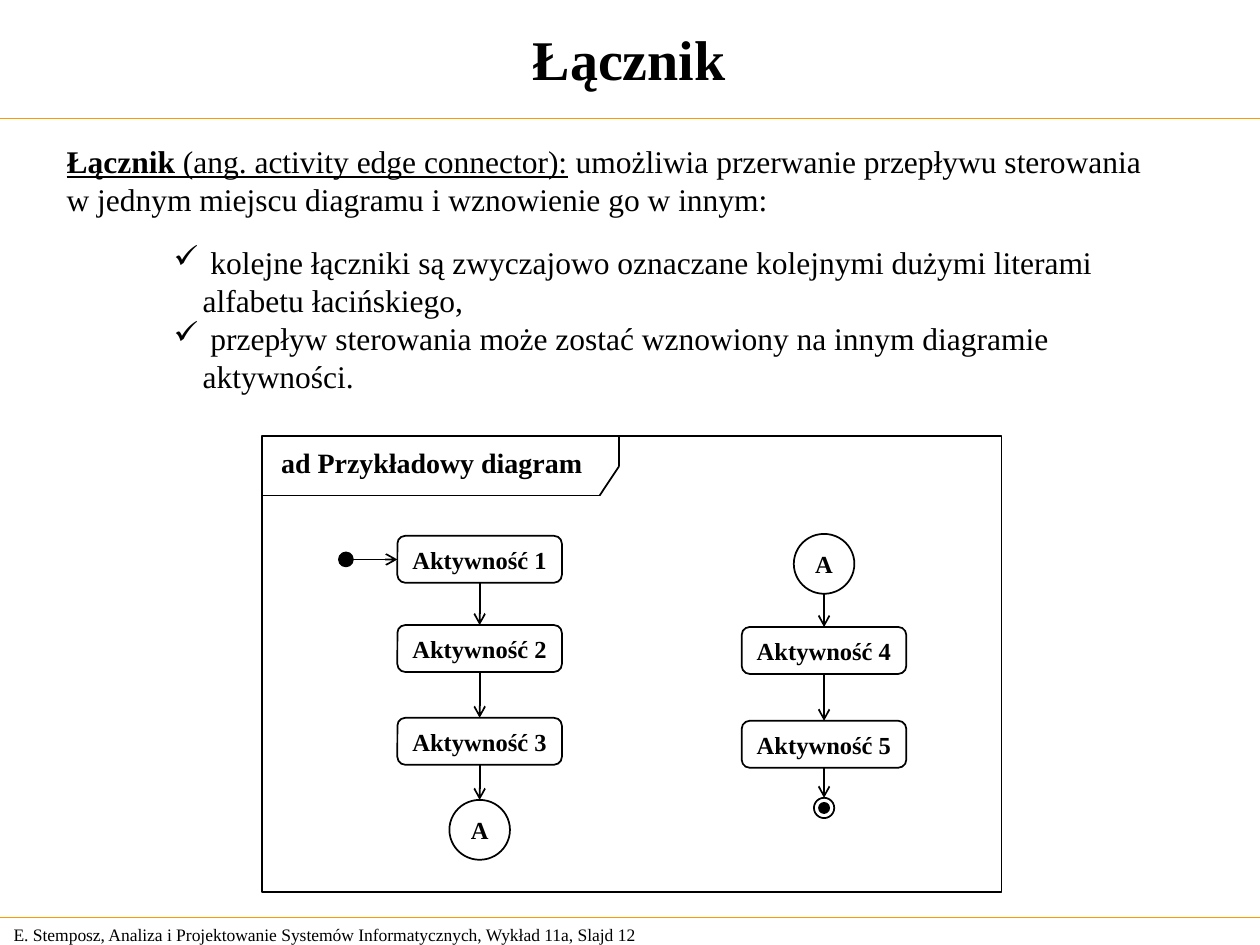
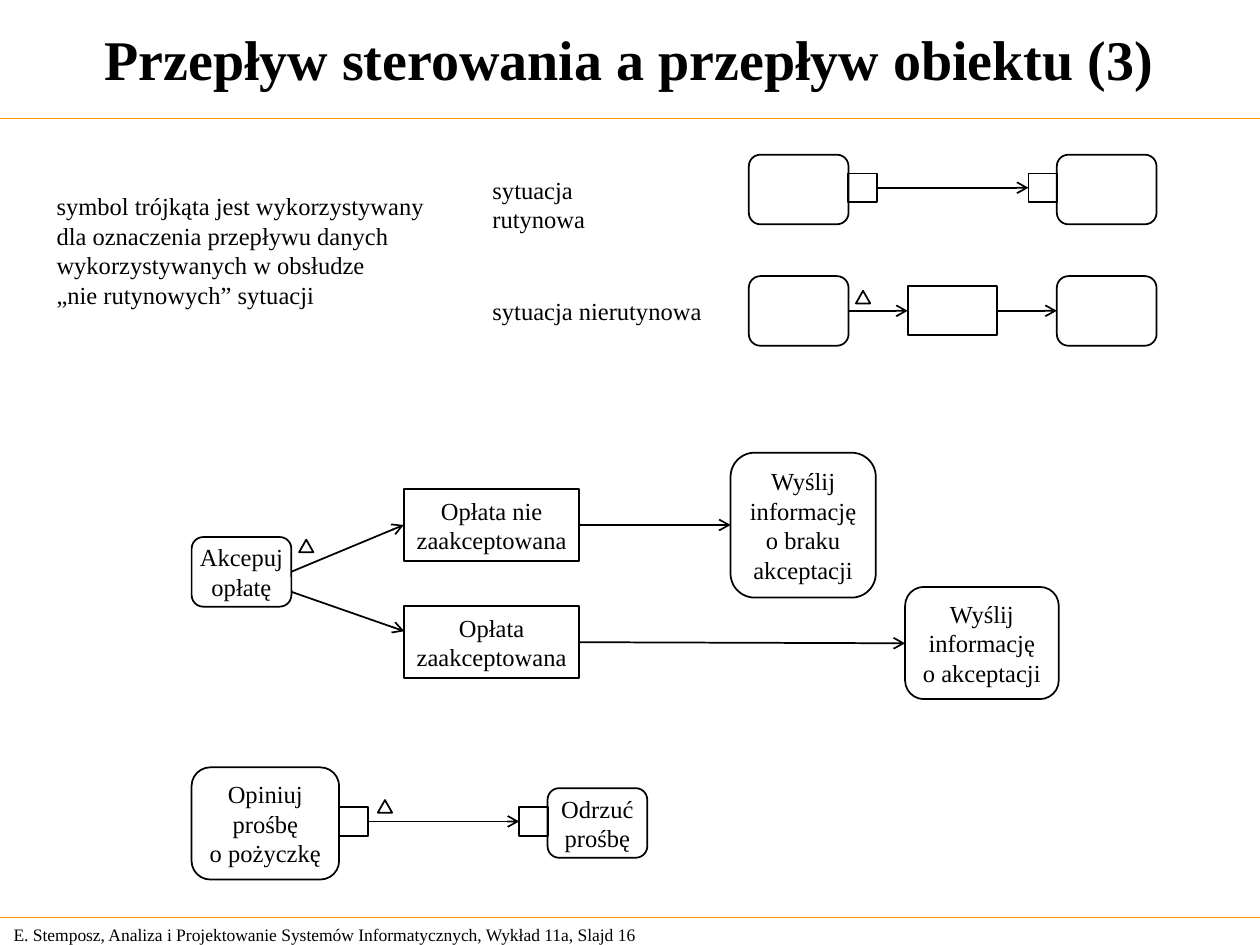
from dataclasses import dataclass
from itertools import pairwise

from lxml import etree
from pptx import Presentation
from pptx.dml.color import RGBColor
from pptx.enum import shapes, text
from pptx.oxml.ns import qn
from pptx.slide import Slide
from pptx.util import Pt

BLACK = RGBColor(0, 0, 0)
ORANGE = RGBColor(0xFF, 0x99, 0x00)
FONT = "Times New Roman"
WIDE, HIGH = 720, 540
RULES = (67.7, 524.2)
FOOT = "E. Stemposz, Analiza i Projektowanie Systemów Informatycznych, Wykład 11a, Slajd "

RECT = shapes.MSO_SHAPE.RECTANGLE
ROUND = shapes.MSO_SHAPE.ROUNDED_RECTANGLE
OVAL = shapes.MSO_SHAPE.OVAL
DELTA = shapes.MSO_SHAPE.ISOSCELES_TRIANGLE
LEFT, MID = text.PP_ALIGN.LEFT, text.PP_ALIGN.CENTER
TOP, CENTER = text.MSO_ANCHOR.TOP, text.MSO_ANCHOR.MIDDLE

PIN = 16.4
CELL = (57, 39.8)


@dataclass(frozen=True)
class Run:
    words: str
    bold: bool = False
    under: bool = False


@dataclass(frozen=True)
class Style:
    size: float = 14
    align: text.PP_ALIGN = LEFT
    anchor: text.MSO_ANCHOR = TOP
    wrap: bool = False
    hang: float = 0


@dataclass(frozen=True)
class Node:
    kind: shapes.MSO_SHAPE
    left: float
    top: float
    wide: float
    high: float
    lines: tuple[str, ...] = ()
    bold: bool = False
    solid: bool = False


@dataclass(frozen=True)
class Edge:
    x1: float
    y1: float
    x2: float
    y2: float
    arrow: bool = True
    color: RGBColor = BLACK
    width: float = 1


def write(frame: text, rows: list[list[Run]], style: Style) -> None:
    """Fill a text frame, one paragraph per row; a hang adds check marks."""
    frame.word_wrap = style.wrap
    frame.vertical_anchor = style.anchor
    for i, row in enumerate(rows):
        para = frame.paragraphs[0] if i == 0 else frame.add_paragraph()
        para.alignment = style.align
        if style.hang:
            props = para._p.get_or_add_pPr()
            props.set("marL", str(Pt(style.hang)))
            props.set("indent", str(-Pt(style.hang)))
            etree.SubElement(props, qn("a:buChar"), char="✓")
        for part in row:
            run = para.add_run()
            run.text = part.words
            font = run.font
            font.name, font.size = FONT, Pt(style.size)
            font.bold, font.underline = part.bold, part.under
            font.color.rgb = BLACK


def add_text(slide: Slide, left: float, top: float, wide: float, high: float,
             rows: list[list[Run]], style: Style = Style()) -> None:
    box = slide.shapes.add_textbox(Pt(left), Pt(top), Pt(wide), Pt(high))
    write(box.text_frame, rows, style)


def add_node(slide: Slide, node: Node) -> None:
    shape = slide.shapes.add_shape(
        node.kind, Pt(node.left), Pt(node.top), Pt(node.wide), Pt(node.high))
    shape.shadow.inherit = False
    shape.line.color.rgb = BLACK
    shape.line.width = Pt(1)
    if node.solid:
        shape.fill.solid()
        shape.fill.fore_color.rgb = BLACK
    else:
        shape.fill.background()
    if node.lines:
        rows = [[Run(line, node.bold)] for line in node.lines]
        write(shape.text_frame, rows, Style(align=MID, anchor=CENTER))


def add_edge(slide: Slide, edge: Edge) -> None:
    link = slide.shapes.add_connector(
        shapes.MSO_CONNECTOR.STRAIGHT,
        Pt(edge.x1), Pt(edge.y1), Pt(edge.x2), Pt(edge.y2))
    link.line.color.rgb = edge.color
    link.line.width = Pt(edge.width)
    props = link.element.spPr
    if edge.arrow:
        etree.SubElement(props.find(qn("a:ln")), qn("a:tailEnd"), type="arrow")
    etree.SubElement(props, qn("a:effectLst"))


def draw(slide: Slide, items: list[Node | Edge]) -> None:
    for item in items:
        if isinstance(item, Node):
            add_node(slide, item)
        else:
            add_edge(slide, item)


def add_slide(deck: Presentation, title: str, number: int) -> Slide:
    slide = deck.slides.add_slide(deck.slide_layouts[6])
    add_text(slide, 0.7, 524.2, 377.3, 19.4, [[Run(f"{FOOT}{number}")]],
             Style(10, anchor=CENTER, wrap=True))
    for y in RULES:
        add_edge(slide, Edge(0, y, WIDE, y, False, ORANGE, 0.75))
    add_text(slide, 0, 0, 719.3, 66.2, [[Run(title, True)]],
             Style(32, MID, CENTER, True))
    return slide


def step(x: float, top: float, number: int) -> Node:
    """Activity centred on x."""
    return Node(ROUND, x - 47, top, 94, 26.8, (f"Aktywność {number}",), True)


def joint(x: float, top: float) -> Node:
    return Node(OVAL, x - 17.3, top, 34.6, 34.2, ("A",), True)


def dot(x: float, y: float, size: float, solid: bool = True) -> Node:
    """Circle centred on x, y."""
    return Node(OVAL, x - size / 2, y - size / 2, size, size, solid=solid)


def chain(nodes: list[Node]) -> list[Node | Edge]:
    """Nodes stacked on one axis, each with an arrow to the next."""
    x = nodes[0].left + nodes[0].wide / 2
    return nodes + [Edge(x, a.top + a.high, x, b.top)
                    for a, b in pairwise(nodes)]


def delta(left: float, top: float) -> Node:
    return Node(DELTA, left, top, 8.2, 7.2)


def pins(left: float, top: float) -> list[Node | Edge]:
    """Two object pins joined by an arrow."""
    gap, y = 103, top + PIN / 2
    ends = [Node(RECT, x, top, PIN, PIN) for x in (left, left + gap)]
    return ends + [Edge(left + PIN, y, left + gap, y)]


def link_slide(deck: Presentation) -> None:
    slide = add_slide(deck, "Łącznik", 12)
    add_text(slide, 31, 77.8, 636.5, 50.4, [[
        Run("Łącznik", True, True),
        Run(" (ang. activity edge connector):", under=True),
        Run(" umożliwia przerwanie przepływu sterowania w jednym miejscu"
            " diagramu i wznowienie go w innym:"),
    ]], Style(18, wrap=True))
    add_text(slide, 92.2, 135.4, 551.5, 93.6, [
        [Run(" kolejne łączniki są zwyczajowo oznaczane kolejnymi dużymi"
             " literami alfabetu łacińskiego,")],
        [Run(" przepływ sterowania może zostać wznowiony na innym"
             " diagramie aktywności.")],
    ], Style(18, wrap=True, hang=16.5))

    draw(slide, [Node(RECT, 149.8, 249.1, 422.6, 260.6)])
    add_text(slide, 153.6, 251.3, 220.3, 26.6,
             [[Run("ad Przykładowy diagram", True)]], Style(16, wrap=True))
    fold = [(149.8, 283.1), (342.7, 283.1), (353.8, 266.4), (353.8, 249.1)]
    draw(slide, [Edge(*a, *b, arrow=False) for a, b in pairwise(fold)])

    near, far, start, end = 274.1, 470.9, 319.7, 461.7
    draw(slide, [dot(197.7, start, 8), Edge(201.7, start, near - 47, start)])
    draw(slide, chain([step(near, 306.2, 1), step(near, 357.2, 2),
                       step(near, 410.2, 3), joint(near, 457.1)]))
    draw(slide, chain([joint(far, 305.1), step(far, 358.3, 4),
                       step(far, 411.9, 5), dot(far, end, 11.6, False)]))
    draw(slide, [dot(far, end, 5.8)])


def flow_slide(deck: Presentation) -> None:
    slide = add_slide(deck, "Przepływ sterowania a przepływ obiektu (3)", 16)
    notes = [
        (25.2, 105.8, 224.6, 74.9, (
            "symbol trójkąta jest wykorzystywany",
            "dla oznaczenia przepływu danych",
            "wykorzystywanych w obsłudze",
            "„nie rutynowych” sytuacji")),
        (274.3, 96.5, 116.6, 24.5, ("sytuacja rutynowa",)),
        (274.3, 165.6, 133.9, 24.5, ("sytuacja nierutynowa",)),
    ]
    for *place, lines in notes:
        add_text(slide, *place, [[Run(line)] for line in lines])

    draw(slide, [Node(ROUND, x, y, *CELL)
                 for y in (88.4, 157.8) for x in (427.9, 603.9)])
    draw(slide, pins(484.7, 99.1))
    draw(slide, [
        Node(RECT, 518.7, 163.5, 51.1, 28.1),
        Edge(484.9, 177.6, 518.7, 177.6),
        Edge(569.8, 177.6, 603.9, 177.6),
        delta(489.1, 166.2),
    ])

    draw(slide, [
        Node(ROUND, 109.5, 306.9, *CELL, ("Akcepuj", "opłatę")),
        Node(RECT, 231, 279.4, 100, 41.2, ("Opłata nie", "zaakceptowana")),
        Node(RECT, 231, 346.3, 100, 41.2, ("Opłata", "zaakceptowana")),
        Node(ROUND, 417.5, 258.7, 83, 82.8,
             ("Wyślij", "informację", "o braku", "akceptacji")),
        Node(ROUND, 517.2, 335.4, 87.8, 64.1,
             ("Wyślij", "informację", "o akceptacji")),
        Edge(166.5, 326.7, 230.7, 300),
        Edge(166.5, 338.2, 231, 360.7),
        Edge(331.5, 300, 417.5, 300),
        Edge(331.5, 367, 517.2, 367.6),
        delta(170.9, 308.4),
    ])

    draw(slide, [
        Node(ROUND, 109.5, 438.5, 84.3, 64.1,
             ("Opiniuj", "prośbę", "o pożyczkę")),
        Node(ROUND, 312.9, 450.4, *CELL, ("Odrzuć", "prośbę")),
        delta(215.9, 457.2),
    ])
    draw(slide, pins(193.7, 461.2))


def main() -> None:
    deck = Presentation()
    deck.slide_width, deck.slide_height = Pt(WIDE), Pt(HIGH)
    link_slide(deck)
    flow_slide(deck)
    deck.save("out.pptx")


if __name__ == "__main__":
    main()
